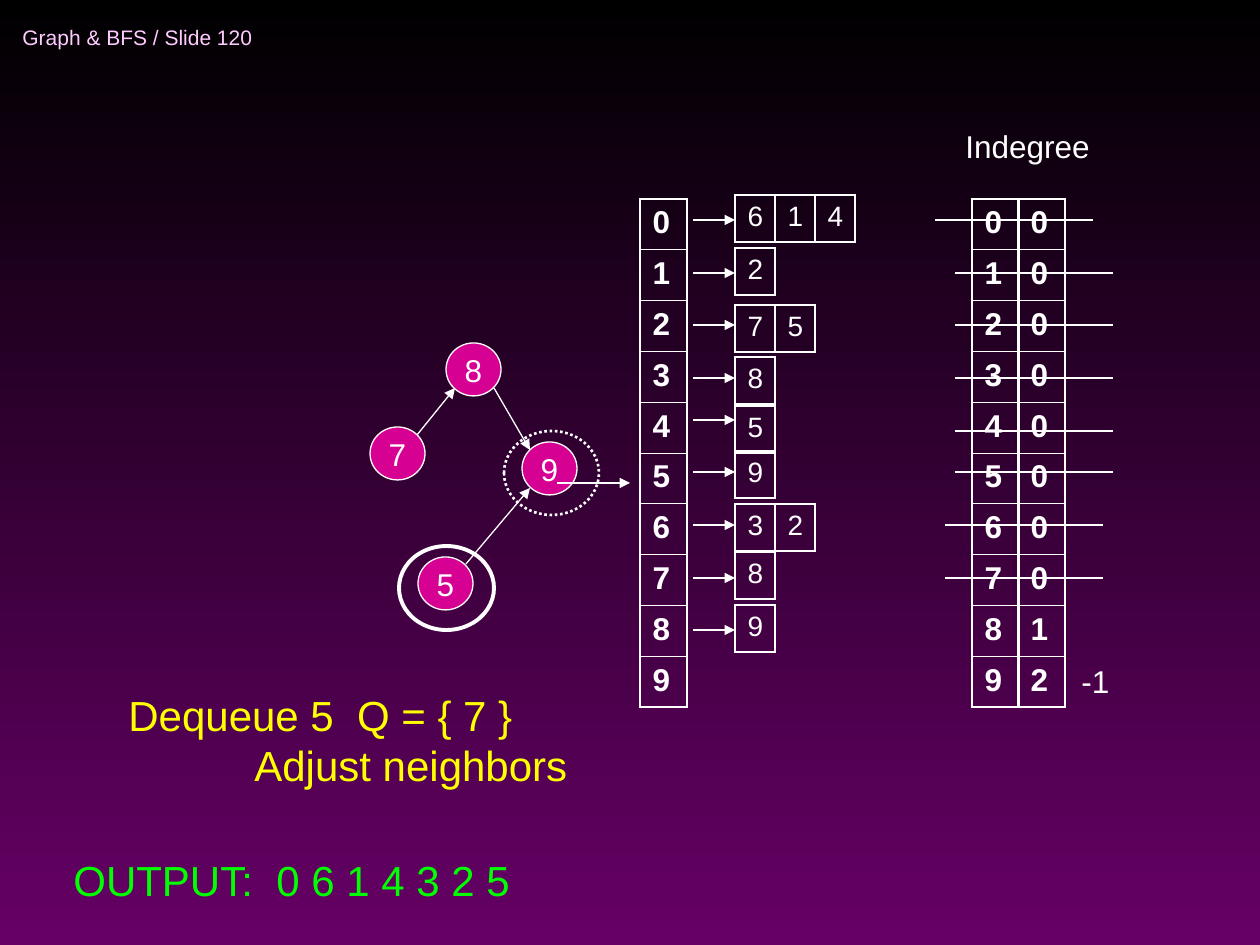
from lxml import etree
from pptx import Presentation, util as u
from pptx.dml.color import RGBColor
from pptx.enum import dml, shapes as sh, text as tx
from pptx.oxml import ns

WHITE, PINK = "FFFFFF", "D60093"
THICK, THIN = 1.08, 0.45

# Adjacency lists: top of the list, y of its arrow, neighbors
LISTS = [
    (195, 220, "614"), (248, 273, "2"), (305, 325, "75"),
    (357, 378, "8"), (406, 420, "5"), (451, 472, "9"),
    (504, 525, "32"), (552, 578, "8"), (605, 630, "9"),
]
# Strokes through finished vertices: left end and y
STRIKES = [
    (935, 220), (955, 273), (955, 325), (955, 378),
    (955, 431), (955, 472), (945, 525), (945, 578),
]
NODES = [("5", 418, 557), ("7", 370, 427), ("8", 446, 343), ("9", 522, 442)]
EDGES = [(466, 564, 530, 488), (494, 388, 530, 450), (417, 435, 455, 388)]


def px(n):
    return u.Emu(round(n * 914400 / 126))


def rgb(code):
    return RGBColor.from_string(code)


def add_run(para, words, size, color=WHITE, bold=False):
    run = para.add_run()
    run.text = words
    font = run.font
    font.name, font.size, font.bold = "Arial", u.Pt(size), bold
    font.color.rgb = rgb(color)


def add_tab(para, x):
    stops = etree.SubElement(para._p.get_or_add_pPr(), ns.qn("a:tabLst"))
    etree.SubElement(stops, ns.qn("a:tab"), pos=str(px(x)), algn="l")


def add_text(slide, x, y, w, h, lines, size, color=WHITE,
             anchor=tx.MSO_ANCHOR.TOP):
    frame = slide.shapes.add_textbox(px(x), px(y), px(w), px(h)).text_frame
    frame.word_wrap = False
    frame.vertical_anchor = anchor
    for i, line in enumerate(lines):
        para = frame.add_paragraph() if i else frame.paragraphs[0]
        if "\t" in line:
            add_tab(para, 126)
        add_run(para, line, size, color)


def add_oval(slide, x, y, w, h, width, fill=None, dash=None):
    oval = slide.shapes.add_shape(
        sh.MSO_SHAPE.OVAL, px(x), px(y), px(w), px(h))
    oval.shadow.inherit = False
    if fill:
        oval.fill.solid()
        oval.fill.fore_color.rgb = rgb(fill)
    else:
        oval.fill.background()
    oval.line.color.rgb = rgb(WHITE)
    oval.line.width = u.Pt(width)
    if dash:
        oval.line.dash_style = dash
    return oval


def add_node(slide, label, x, y):
    frame = add_oval(slide, x, y, 55, 53, 0.75, PINK).text_frame
    frame.word_wrap = False
    frame.vertical_anchor = tx.MSO_ANCHOR.MIDDLE
    para = frame.paragraphs[0]
    para.alignment = tx.PP_ALIGN.CENTER
    add_run(para, label, 18)


def add_line(slide, x1, y1, x2, y2, arrow=False):
    line = slide.shapes.add_connector(
        sh.MSO_CONNECTOR.STRAIGHT, px(x1), px(y1), px(x2), px(y2))
    line.line.color.rgb = rgb(WHITE)
    line.line.width = u.Pt(0.75)
    if arrow:
        etree.SubElement(line.line._get_or_add_ln(), ns.qn("a:tailEnd"),
                         type="triangle")
    etree.SubElement(line._element.spPr, ns.qn("a:effectLst"))


def set_edges(cell, top, bottom):
    """Draw the cell's borders; the sides are always thick."""
    props = cell._tc.get_or_add_tcPr()
    widths = {"lnL": THICK, "lnR": THICK, "lnT": top, "lnB": bottom}
    for i, (tag, width) in enumerate(widths.items()):
        edge = etree.Element(ns.qn(f"a:{tag}"), w=str(u.Pt(width)))
        fill = etree.SubElement(edge, ns.qn("a:solidFill"))
        etree.SubElement(fill, ns.qn("a:srgbClr"), val=WHITE)
        props.insert(i, edge)


def add_grid(slide, x, y, w, h, rows, size, bold=False):
    """Place a table with one character of each row string per cell."""
    last = len(rows) - 1
    table = slide.shapes.add_table(
        len(rows), len(rows[0]), px(x), px(y), px(w), px(h)).table
    table.first_row = table.horz_banding = False
    for r, row in enumerate(rows):
        for c, mark in enumerate(row):
            cell = table.cell(r, c)
            cell.fill.background()
            set_edges(cell, THIN if r else THICK, THIN if r < last else THICK)
            add_run(cell.text_frame.paragraphs[0], mark, size, bold=bold)


def set_back(slide):
    fill = slide.background.fill
    fill.gradient()
    fill.gradient_angle = 270
    for stop, code in zip(fill.gradient_stops, ("000000", "660066")):
        stop.color.rgb = rgb(code)


def add_graph(slide):
    for node in NODES:
        add_node(slide, *node)
    for edge in EDGES:
        add_line(slide, *edge, arrow=True)
    add_line(slide, 557, 483, 630, 483, arrow=True)
    add_oval(slide, 504, 431, 95, 84, 1.5, dash=dml.MSO_LINE.ROUND_DOT)
    add_oval(slide, 399, 546, 95, 84, 2.25)


def add_tables(slide):
    for x, column in ((640, "0123456789"), (972, "0123456789"),
                      (1018, "0000000012")):
        add_grid(slide, x, 199, 47, 508, column, 18, bold=True)
    for top, y, row in LISTS:
        add_line(slide, 693, y, 735, y, arrow=True)
        add_grid(slide, 735, top, 40 * len(row), 47, [row], 16)
    for x, y in STRIKES:
        add_line(slide, x, y, x + 158, y)


def main():
    deck = Presentation()
    deck.slide_width, deck.slide_height = px(1260), px(945)
    slide = deck.slides.add_slide(deck.slide_layouts[6])
    set_back(slide)
    add_text(slide, 10, 11, 347, 53, ["Graph & BFS / Slide 120"], 12,
             "FFCCFF", tx.MSO_ANCHOR.MIDDLE)
    add_graph(slide)
    add_tables(slide)
    add_text(slide, 953, 121, 160, 50, ["Indegree"], 18)
    add_text(slide, 1069, 656, 53, 50, ["-1"], 18)
    add_text(slide, 116, 683, 475, 114,
             ["Dequeue 5  Q = { 7 }", "\tAdjust neighbors"], 24, "FFFF00")
    add_text(slide, 61, 848, 528, 63, ["OUTPUT:  0 6 1 4 3 2 5"], 24, "00FF00")
    deck.save("out.pptx")


if __name__ == "__main__":
    main()
